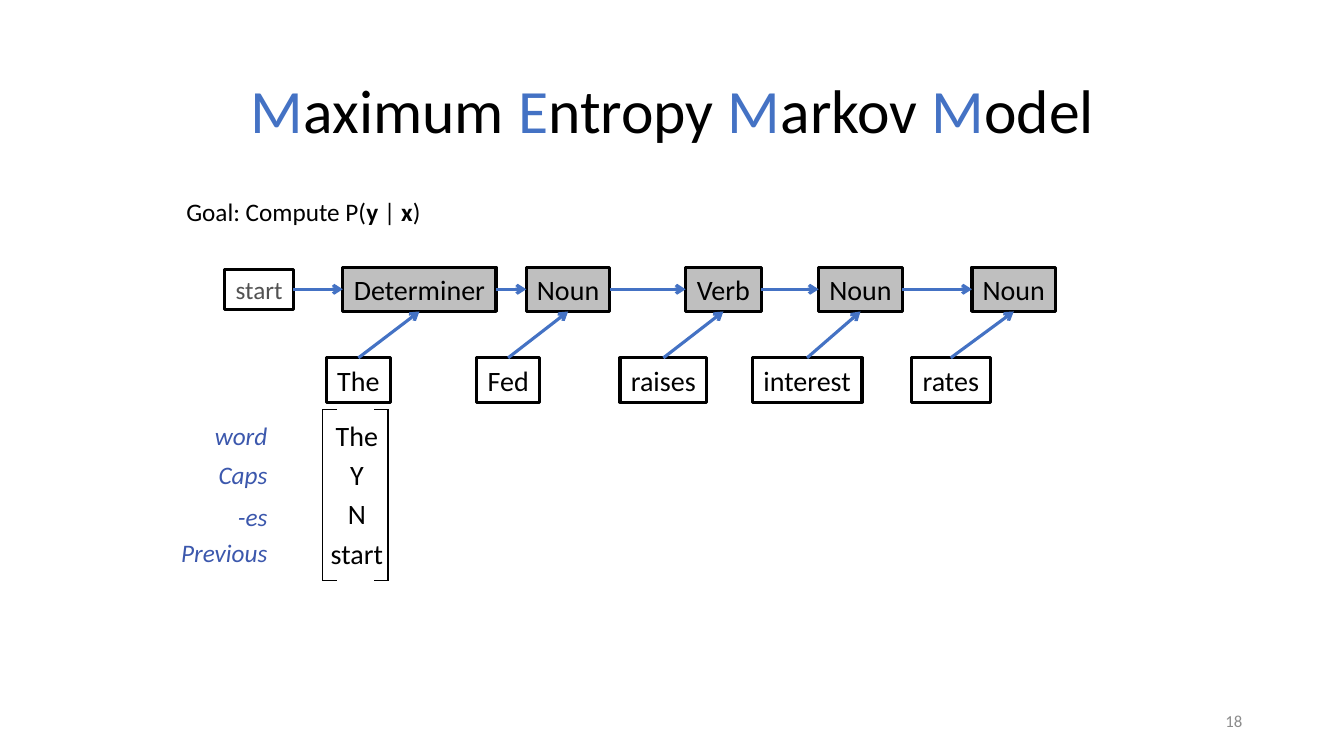
from lxml import etree
from pptx import Presentation
from pptx.dml.color import RGBColor
from pptx.enum.shapes import MSO_CONNECTOR, MSO_SHAPE
from pptx.enum.text import MSO_ANCHOR, PP_ALIGN
from pptx.oxml.ns import qn
from pptx.util import Pt

PX = 9144  # EMU per px, 100 px to the inch
LEFT, CENTER, RIGHT = PP_ALIGN.LEFT, PP_ALIGN.CENTER, PP_ALIGN.RIGHT
TOP, MIDDLE = MSO_ANCHOR.TOP, MSO_ANCHOR.MIDDLE
RECT, STRAIGHT = MSO_SHAPE.RECTANGLE, MSO_CONNECTOR.STRAIGHT
SIDE_TOP, SIDE_LEFT, SIDE_BOTTOM, SIDE_RIGHT = range(4)

COLORS = {
    "black": "000000",
    "blue": "4472C4",
    "label": "3C58AD",
    "tag": "BFBFBF",
    "start": "525252",
    "number": "8C8C8C",
}


def rgb(name):
    return RGBColor.from_string(COLORS[name])


class Deck:
    font = "Calibri"

    def __init__(self, width, height):
        self.prs = Presentation()
        self.prs.slide_width, self.prs.slide_height = width * PX, height * PX
        self.slide = None

    def add_slide(self):
        self.slide = self.prs.slides.add_slide(self.prs.slide_layouts[5])

    def style(self, p, size, color="black", align=LEFT, italic=False):
        p.alignment = align
        p.font.name, p.font.size = self.font, Pt(size)
        p.font.italic = italic
        if color:
            p.font.color.rgb = rgb(color)

    def title(self, box, words, size):
        """Title whose words each begin with a blue capital."""
        sp = self.slide.shapes.title
        sp.left, sp.top, sp.width, sp.height = (v * PX for v in box)
        tf = sp.text_frame
        tf.vertical_anchor, tf.word_wrap = MIDDLE, True
        p = tf.paragraphs[0]
        p.line_spacing = 0.9
        self.style(p, size, None, CENTER)
        for i, word in enumerate(words):
            rest = word[1:] + (" " if i < len(words) - 1 else "")
            for text, color in ((word[0], "blue"), (rest, "black")):
                r = p.add_run()
                r.text = text
                r.font.color.rgb = rgb(color)

    def text(self, box, runs, size, anchor=TOP, **style):
        """Text box; runs are (text, bold) pairs."""
        sp = self.slide.shapes.add_textbox(*(v * PX for v in box))
        tf = sp.text_frame
        tf.word_wrap, tf.vertical_anchor = True, anchor
        p = tf.paragraphs[0]
        self.style(p, size, **style)
        for text, bold in runs:
            r = p.add_run()
            r.text = text
            if bold:
                r.font.bold = True

    def node(self, box, text, size=20, fill=None, color="black"):
        sp = self.slide.shapes.add_shape(RECT, *(v * PX for v in box))
        sp.shadow.inherit = False
        if fill:
            sp.fill.solid()
            sp.fill.fore_color.rgb = rgb(fill)
        else:
            sp.fill.background()
        sp.line.color.rgb, sp.line.width = rgb("black"), Pt(2.25)
        tf = sp.text_frame
        tf.word_wrap, tf.vertical_anchor = False, MIDDLE
        p = tf.paragraphs[0]
        p.text = text
        self.style(p, size, color, CENTER)
        return sp

    def line(self, x1, y1, x2, y2, color="black", width=1):
        ends = (v * PX for v in (x1, y1, x2, y2))
        cxn = self.slide.shapes.add_connector(STRAIGHT, *ends)
        cxn.line.color.rgb, cxn.line.width = rgb(color), Pt(width)
        etree.SubElement(cxn._element.spPr, qn("a:effectLst"))
        return cxn

    def arrow(self, source, source_side, target, target_side):
        cxn = self.line(0, 0, 0, 0, "blue", 2.25)
        cxn.begin_connect(source, source_side)
        cxn.end_connect(target, target_side)
        etree.SubElement(cxn.line._get_or_add_ln(), qn("a:tailEnd"), type="arrow")


def main():
    deck = Deck(1333, 750)
    deck.add_slide()

    # Title, goal and page number
    deck.title((92, 40, 1150, 145), ("Maximum", "Entropy", "Markov", "Model"), 44)
    goal = (("Goal: Compute P(", False), ("y", True), (" | ", False),
            ("x", True), (")", False))
    deck.text((175, 190, 270, 40), goal, 18)
    deck.text((942, 695, 300, 40), [("18", False)], 12, MIDDLE,
              color="number", align=RIGHT)

    # Tag chain, with the observed word below each tag
    columns = (  # tag, left, width, word, left, width
        ("Determiner", 340, 152, "The", 324, 63),
        ("Noun", 522, 83, "Fed", 473, 62),
        ("Verb", 680, 75, "raises", 615, 86),
        ("Noun", 812, 83, "interest", 746, 109),
        ("Noun", 964, 83, "rates", 904, 78),
    )
    previous = deck.node((223, 267, 68, 40), "start", 18, color="start")
    for tag, tag_x, tag_w, word, word_x, word_w in columns:
        tag_box = deck.node((tag_x, 265, tag_w, 44), tag, fill="tag")
        word_box = deck.node((word_x, 355, word_w, 44), word)
        deck.arrow(word_box, SIDE_TOP, tag_box, SIDE_BOTTOM)
        deck.arrow(previous, SIDE_RIGHT, tag_box, SIDE_LEFT)
        previous = tag_box

    # Feature vector: names on the left, values in the bracket
    features = (("word", 412, "The"), ("Caps", 451, "Y"),
                ("-es", 492, "N"), ("Previous", 528, "start"))
    for i, (name, name_y, value) in enumerate(features):
        deck.text((160, name_y, 115, 40), [(name, False)], 18,
                  color="label", align=RIGHT, italic=True)
        deck.text((309, 410 + 39 * i, 90, 44), [(value, False)], 20, align=CENTER)

    # Square brackets
    top, bottom = 406, 576
    for edge, tip in ((320, 334), (385, 371)):
        deck.line(edge, top, edge, bottom)
        for y in (top, bottom):
            deck.line(edge, y, tip, y)

    deck.prs.save("out.pptx")


if __name__ == "__main__":
    main()
